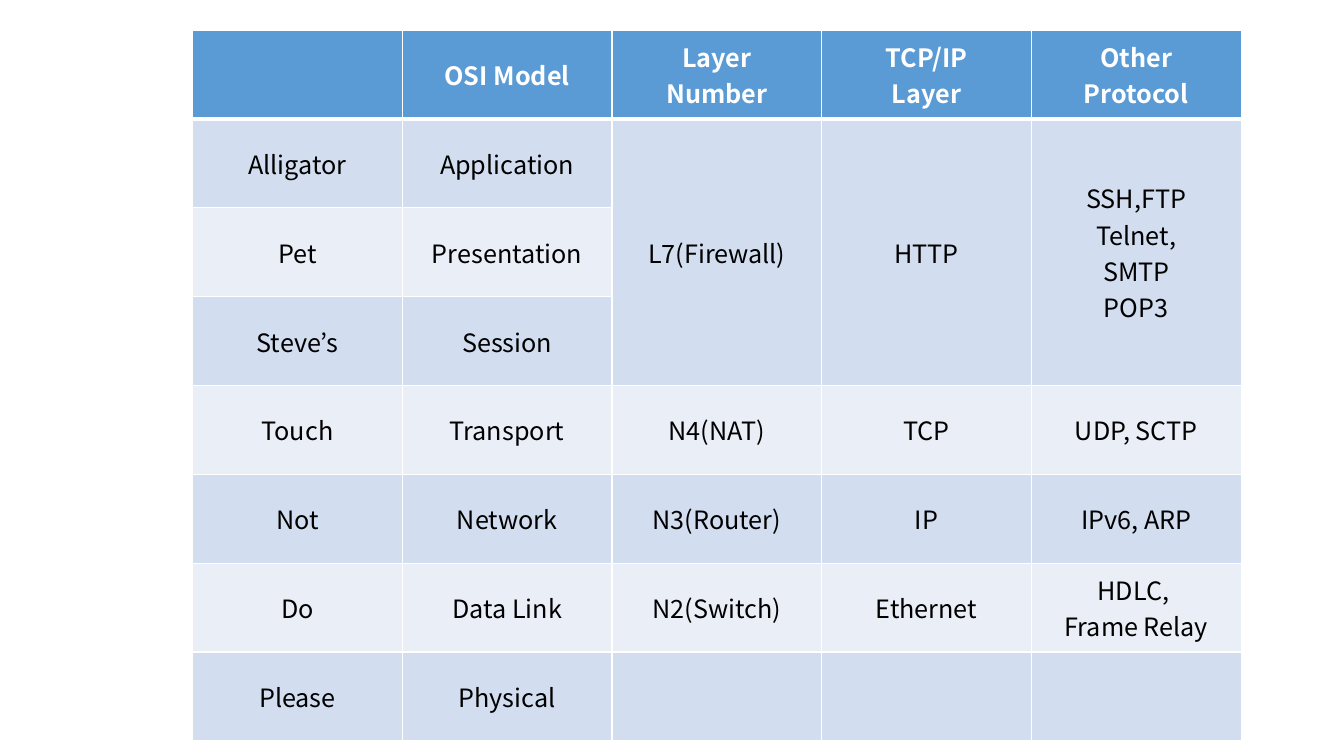
from lxml.etree import SubElement
from pptx import Presentation
from pptx.dml.color import RGBColor
from pptx.enum.text import MSO_ANCHOR, PP_ALIGN
from pptx.oxml.ns import qn
from pptx.util import Inches, Pt

HEADER = ["", "OSI Model", "Layer\vNumber", "TCP/IP\nLayer", "Other\nProtocol"]
LAYERS = [
    ["Alligator", "Application", "L7(Firewall)", "HTTP", "SSH,FTP\vTelnet,\vSMTP\nPOP3"],
    ["Pet", "Presentation", "", "", ""],
    ["Steve’s", "Session", "", "", ""],
    ["Touch", "Transport", "N4(NAT)", "TCP", "UDP, SCTP"],
    ["Not", "Network", "N3(Router)", "IP", "IPv6, ARP"],
    ["Do", "Data Link", "N2(Switch)", "Ethernet", "HDLC, \vFrame Relay"],
    ["Please", "Physical", "", "", ""],
]
MERGED_COLUMNS = range(2, 5)
MERGED_ROWS = (1, 3)


def color(value):
    """Turn a hex string into a colour."""
    return RGBColor.from_string(value)


def apply(target, values):
    """Set each named attribute of the target."""
    for name, value in values.items():
        setattr(target, name, value)


class SlideBuilder:
    """Hold the style and the current slide."""

    font = {"name": "Noto Sans CJK KR", "size": Pt(18)}
    header = {"fill": "5B9BD5", "text": "FFFFFF", "bold": True, "bottom": 3}
    bands = [
        {"fill": fill, "text": "000000", "bold": False, "bottom": 1}
        for fill in ("D2DEEF", "EAEFF7")
    ]
    border = "FFFFFF"

    def __init__(self, slide):
        """Keep the slide to draw on."""
        self.slide = slide

    def table(self, rows, left, top, width, height):
        """Add a table with a header row and banded body rows."""
        frame = self.slide.shapes.add_table(
            len(rows), len(rows[0]), Inches(left), Inches(top), Inches(width), Inches(height)
        )
        table = frame.table
        for row_index, texts in enumerate(rows):
            look = self.bands[(row_index - 1) % 2] if row_index else self.header
            top_width = self.header["bottom"] if row_index == 1 else 1
            for column_index, text in enumerate(texts):
                cell = table.cell(row_index, column_index)
                self.cell(cell, text, look)
                self.borders(cell, {"L": 1, "R": 1, "T": top_width, "B": look["bottom"]})
        return table

    def cell(self, cell, text, look):
        """Write and format one cell."""
        cell.fill.solid()
        cell.fill.fore_color.rgb = color(look["fill"])
        cell.vertical_anchor = MSO_ANCHOR.MIDDLE
        cell.text_frame.text = text
        for paragraph in cell.text_frame.paragraphs:
            paragraph.alignment = PP_ALIGN.CENTER
            apply(paragraph.font, self.font)
            for run in paragraph.runs:
                apply(run.font, {**self.font, "bold": look["bold"]})
                run.font.color.rgb = color(look["text"])

    def borders(self, cell, widths):
        """Draw the four cell borders with widths in points."""
        properties = cell._tc.get_or_add_tcPr()
        for position, (side, width) in enumerate(widths.items()):
            line = SubElement(properties, qn(f"a:ln{side}"), w=str(Pt(width)))
            fill = SubElement(line, qn("a:solidFill"))
            SubElement(fill, qn("a:srgbClr"), val=self.border)
            properties.insert(position, line)


presentation = Presentation()
apply(presentation, {"slide_width": Inches(13.33), "slide_height": Inches(7.5)})
builder = SlideBuilder(presentation.slides.add_slide(presentation.slide_layouts[6]))
layer_table = builder.table([HEADER, *LAYERS], 1.91, 0.3, 10.4, 7.05)
first_row, last_row = MERGED_ROWS
for column in MERGED_COLUMNS:
    layer_table.cell(first_row, column).merge(layer_table.cell(last_row, column))
presentation.save("out.pptx")
